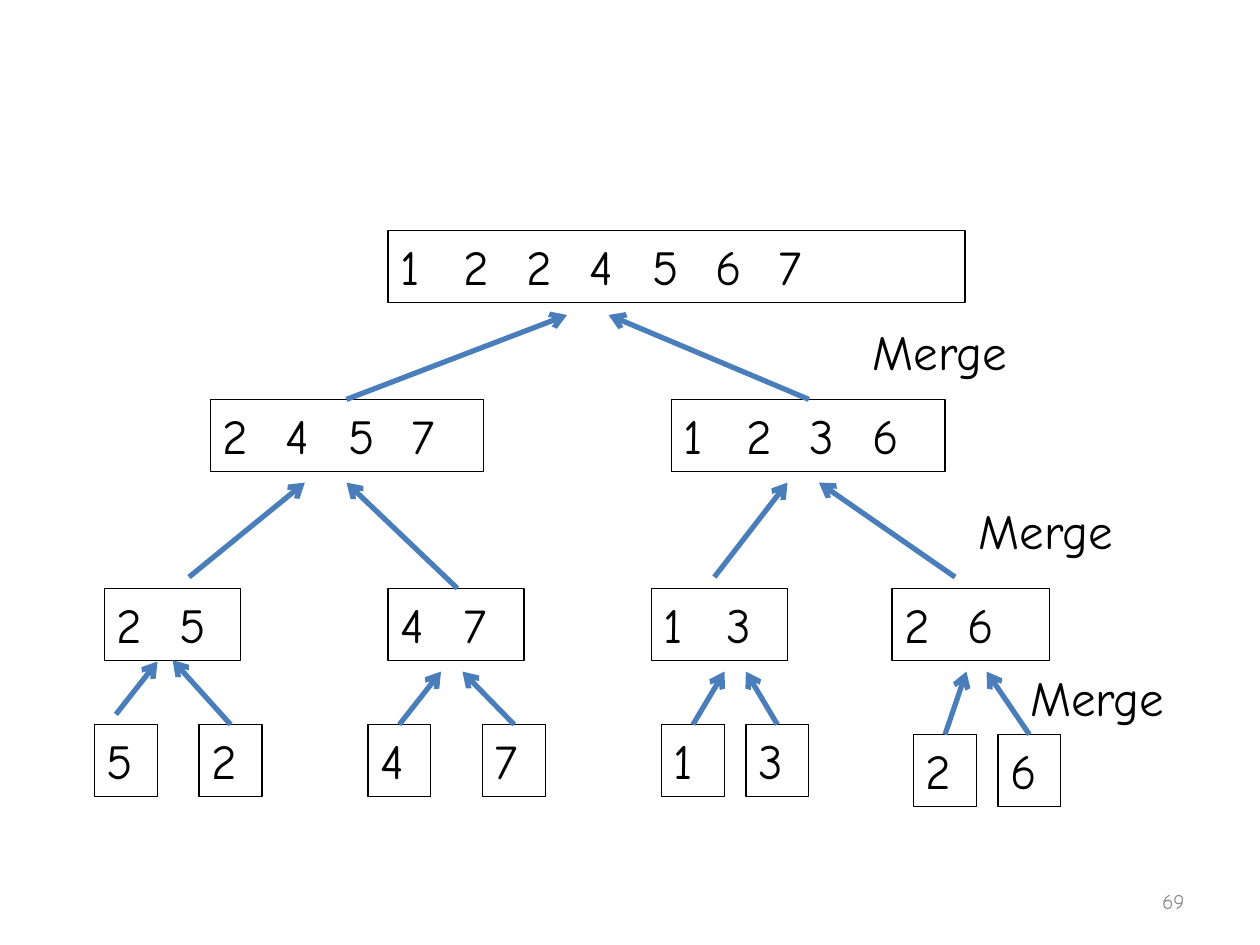
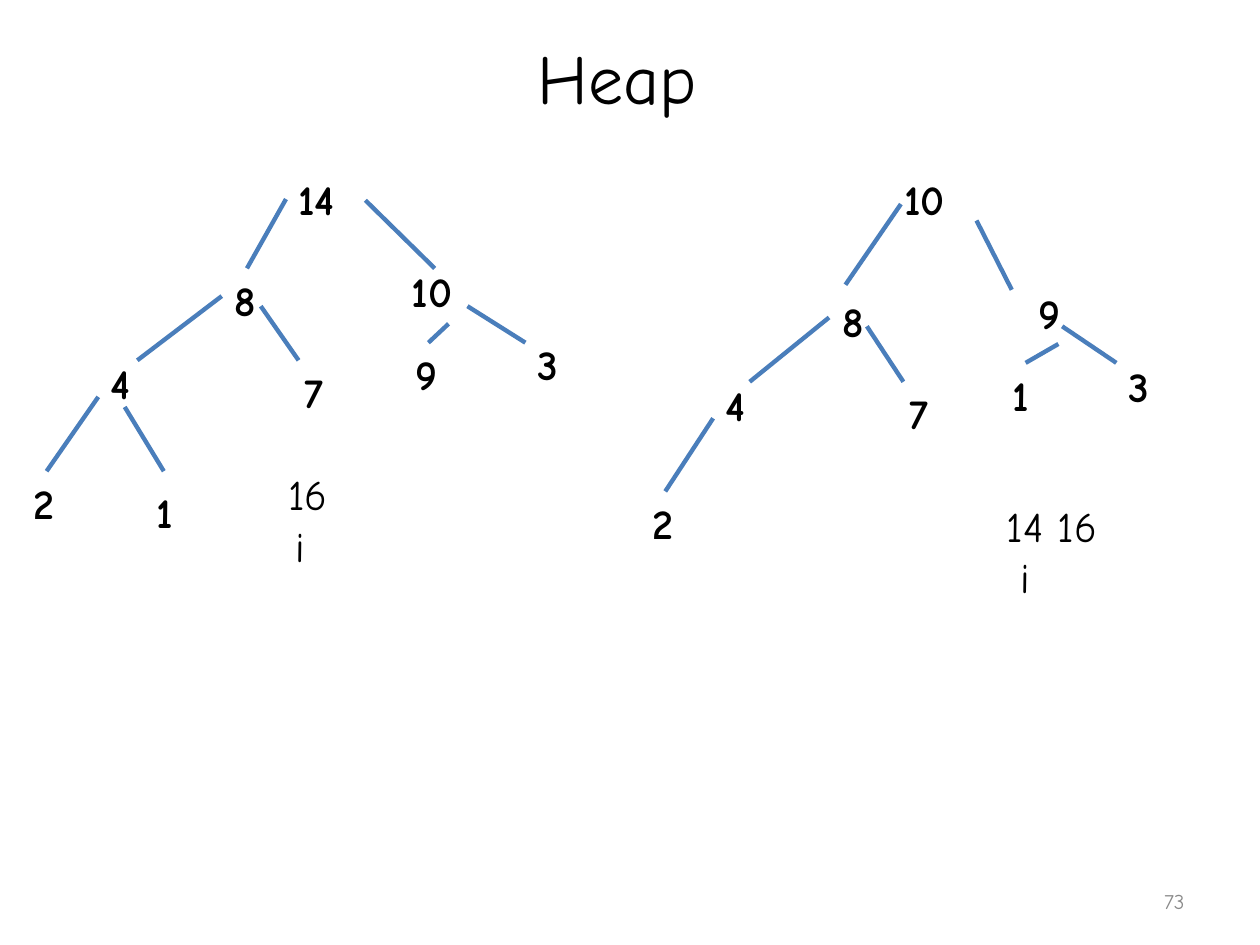
"""Build two slides: the merge phase of merge sort, and two steps of heap sort."""
from lxml import etree
from pptx import Presentation
from pptx.dml.color import RGBColor
from pptx.enum.shapes import MSO_CONNECTOR, MSO_SHAPE
from pptx.enum.text import MSO_ANCHOR, PP_ALIGN
from pptx.oxml.ns import qn
from pptx.util import Inches, Pt

STRAIGHT = MSO_CONNECTOR.STRAIGHT
RECTANGLE = MSO_SHAPE.RECTANGLE
TOP, MIDDLE = MSO_ANCHOR.TOP, MSO_ANCHOR.MIDDLE
LEFT, CENTER, RIGHT = PP_ALIGN.LEFT, PP_ALIGN.CENTER, PP_ALIGN.RIGHT
COLORS = {"text": "000000", "edge": "4A7EBB", "number": "898989"}
FONT = "Comic Neue"
TITLE_ONLY, BLANK = 5, 6
ARRAY_HEIGHT = 0.57
NODE_HEIGHT = 0.5


def write(shape, text, size=28, bold=False, color="text", align=LEFT,
          anchor=TOP, indent=0, stops=()):
    """Put one formatted paragraph into a shape."""
    frame = shape.text_frame
    frame.word_wrap = True
    frame.vertical_anchor = anchor
    paragraph = frame.paragraphs[0]
    paragraph.alignment = align
    properties = paragraph._p.get_or_add_pPr()
    properties.set("marL", str(Inches(indent)))
    properties.set("indent", "0")
    if stops:
        tab_list = etree.SubElement(properties, qn("a:tabLst"))
        for stop in stops:
            etree.SubElement(tab_list, qn("a:tab"), pos=str(Inches(stop)), algn="l")
    run = paragraph.add_run()
    run.text = text
    run.font.name = FONT
    run.font.size = Pt(size)
    run.font.bold = bold
    run.font.color.rgb = RGBColor.from_string(COLORS[color])


def connect(slide, ends, width, arrow=False):
    """Draw a straight edge, with an arrowhead at its end on request."""
    edge = slide.shapes.add_connector(STRAIGHT, *[Inches(value) for value in ends])
    edge.line.width = Pt(width)
    edge.line.color.rgb = RGBColor.from_string(COLORS["edge"])
    if arrow:
        etree.SubElement(edge.line._get_or_add_ln(), qn("a:tailEnd"), type="arrow")
    etree.SubElement(edge._element.spPr, qn("a:effectLst"))


prs = Presentation()
prs.slide_width, prs.slide_height = Inches(10), Inches(7.5)
merge_slide = prs.slides.add_slide(prs.slide_layouts[BLANK])
heap_slide = prs.slides.add_slide(prs.slide_layouts[TITLE_ONLY])

for slide, number in ((merge_slide, "69"), (heap_slide, "73")):
    page_number = slide.shapes.add_textbox(Inches(7.17), Inches(6.95), Inches(2.33), Inches(0.4))
    write(page_number, number, size=12, color="number", align=RIGHT, anchor=MIDDLE)

leaves = [("5", 0.75, 5.75), ("2", 1.58, 5.75), ("4", 2.92, 5.75), ("7", 3.83, 5.75),
          ("1", 5.25, 5.75), ("3", 5.92, 5.75), ("2", 7.25, 5.83), ("6", 7.92, 5.83)]
arrays = [(value, left, top, 0.5, ()) for value, left, top in leaves] + [
    ("25", 0.83, 4.67, 1.08, (0.59,)),
    ("47", 3.08, 4.67, 1.08, (0.58,)),
    ("13", 5.17, 4.67, 1.08, (0.67,)),
    ("26", 7.08, 4.67, 1.25, (0.72,)),
    ("2457", 1.67, 3.17, 2.17, (0.6, 1.05, 1.51)),
    ("1236", 5.33, 3.17, 2.17, (0.55, 1.14, 1.73)),
    ("1224567", 3.08, 1.83, 4.58, (0.56, 1.14, 1.74, 2.31, 2.9, 3.64)),
]
for values, left, top, width, stops in arrays:
    array = merge_slide.shapes.add_shape(
        RECTANGLE, Inches(left), Inches(top), Inches(width), Inches(ARRAY_HEIGHT))
    array.shadow.inherit = False
    array.fill.background()
    array.line.color.rgb = RGBColor.from_string(COLORS["text"])
    array.line.width = Pt(0.75)
    write(array, "\t".join(values), stops=stops)

merge_arrows = [
    (0.92, 5.67, 1.25, 5.25), (1.83, 5.75, 1.37, 5.24),
    (3.17, 5.75, 3.5, 5.33), (4.08, 5.75, 3.67, 5.33),
    (5.5, 5.75, 5.75, 5.33), (6.17, 5.75, 5.92, 5.33),
    (7.5, 5.83, 7.67, 5.33), (8.17, 5.83, 7.83, 5.33),
    (1.5, 4.58, 2.42, 3.83), (3.63, 4.67, 2.75, 3.83),
    (5.67, 4.58, 6.25, 3.83), (7.58, 4.58, 6.5, 3.83),
    (2.75, 3.17, 4.5, 2.5), (6.42, 3.17, 4.83, 2.5),
]
for ends in merge_arrows:
    connect(merge_slide, ends, 3, arrow=True)

for left, top in ((8.08, 5.25), (7.67, 3.92), (6.83, 2.5)):
    step = merge_slide.shapes.add_textbox(
        Inches(left), Inches(top), Inches(1.58), Inches(ARRAY_HEIGHT))
    write(step, "Merge")

heading = heap_slide.shapes.title
heading.left, heading.top = Inches(0.4), Inches(0.3)
heading.width, heading.height = Inches(9), Inches(0.62)
write(heading, "Heap", size=40, align=CENTER, anchor=MIDDLE)

heap_nodes = [
    ("14", 2.27, 1.33, 0.63), ("8", 1.76, 2.13, 0.41), ("10", 3.17, 2.06, 0.79),
    ("4", 0.78, 2.79, 0.41), ("7", 2.32, 2.86, 0.41), ("2", 0.17, 3.74, 0.41),
    ("1", 1.14, 3.81, 0.41), ("9", 3.2, 2.72, 0.41), ("3", 4.17, 2.64, 0.41),
    ("10", 7.08, 1.33, 0.83), ("8", 6.59, 2.3, 0.39), ("9", 8.14, 2.23, 0.52),
    ("4", 5.66, 2.96, 0.39), ("7", 7.12, 3.03, 0.39), ("2", 5.08, 3.9, 0.39),
    ("1", 7.94, 2.88, 0.39), ("3", 8.86, 2.81, 0.39),
]
for value, left, top, width in heap_nodes:
    node = heap_slide.shapes.add_textbox(
        Inches(left), Inches(top), Inches(width), Inches(NODE_HEIGHT))
    write(node, value, size=24, bold=True)

heap_edges = [
    (2.27, 1.58, 1.96, 2.13), (2.9, 1.59, 3.45, 2.13), (1.76, 2.35, 1.09, 2.86),
    (2.07, 2.43, 2.37, 2.86), (0.78, 3.15, 0.37, 3.74), (0.99, 3.23, 1.3, 3.74),
    (3.56, 2.57, 3.4, 2.72), (3.71, 2.43, 4.17, 2.72),
    (7.15, 1.62, 6.71, 2.26), (7.75, 1.75, 8.03, 2.3), (6.58, 2.52, 5.95, 3.03),
    (6.88, 2.59, 7.17, 3.03), (5.66, 3.32, 5.28, 3.9), (8.4, 2.73, 8.14, 2.88),
    (8.43, 2.59, 8.86, 2.88),
]
for ends in heap_edges:
    connect(heap_slide, ends, 2.5)

sorted_tails = [
    ("16", 2.08, 3.67, 0.83, 0.5, 0.11), ("14 16", 7.67, 3.92, 1.67, 0.5, 0.22),
    ("i", 2.25, 4.08, 0.33, 0.9, 0), ("i", 8, 4.33, 0.33, 0.9, 0),
]
for text, left, top, width, height, indent in sorted_tails:
    tail = heap_slide.shapes.add_textbox(
        Inches(left), Inches(top), Inches(width), Inches(height))
    write(tail, text, size=24, indent=indent)

prs.save("out.pptx")
